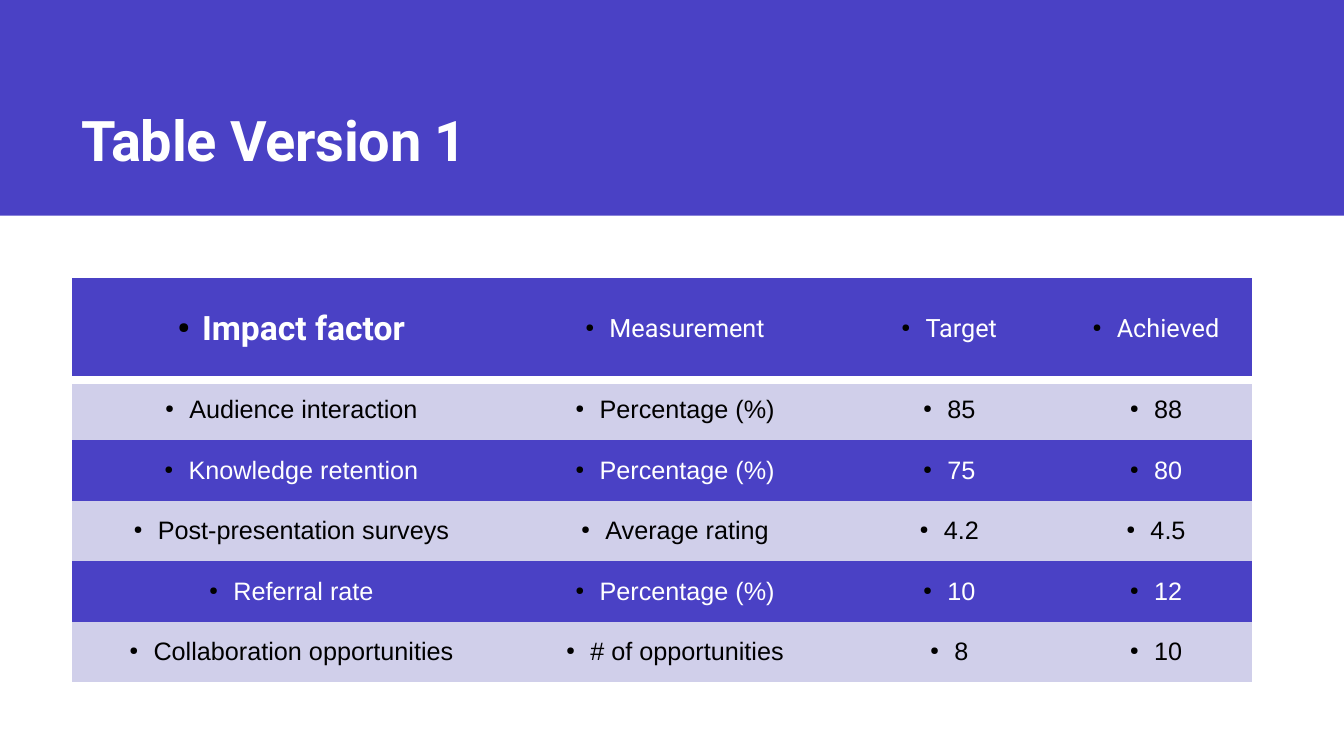
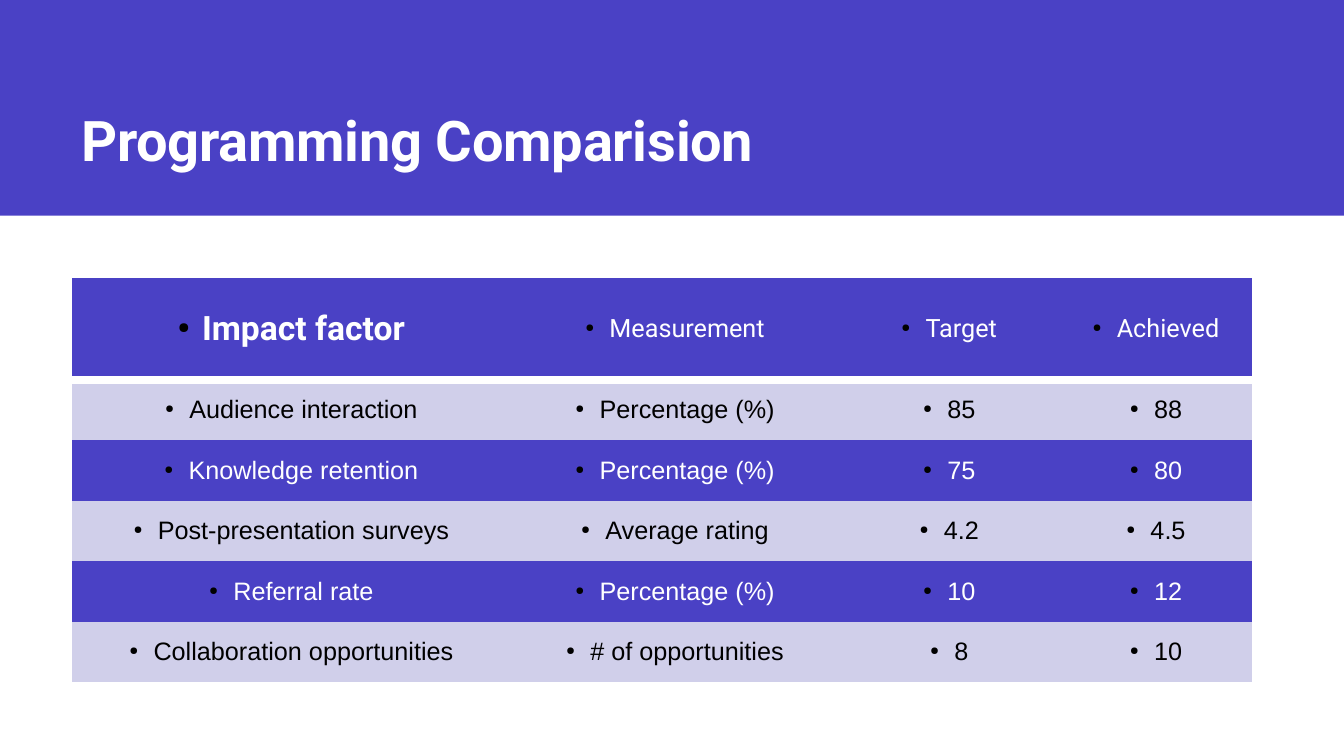
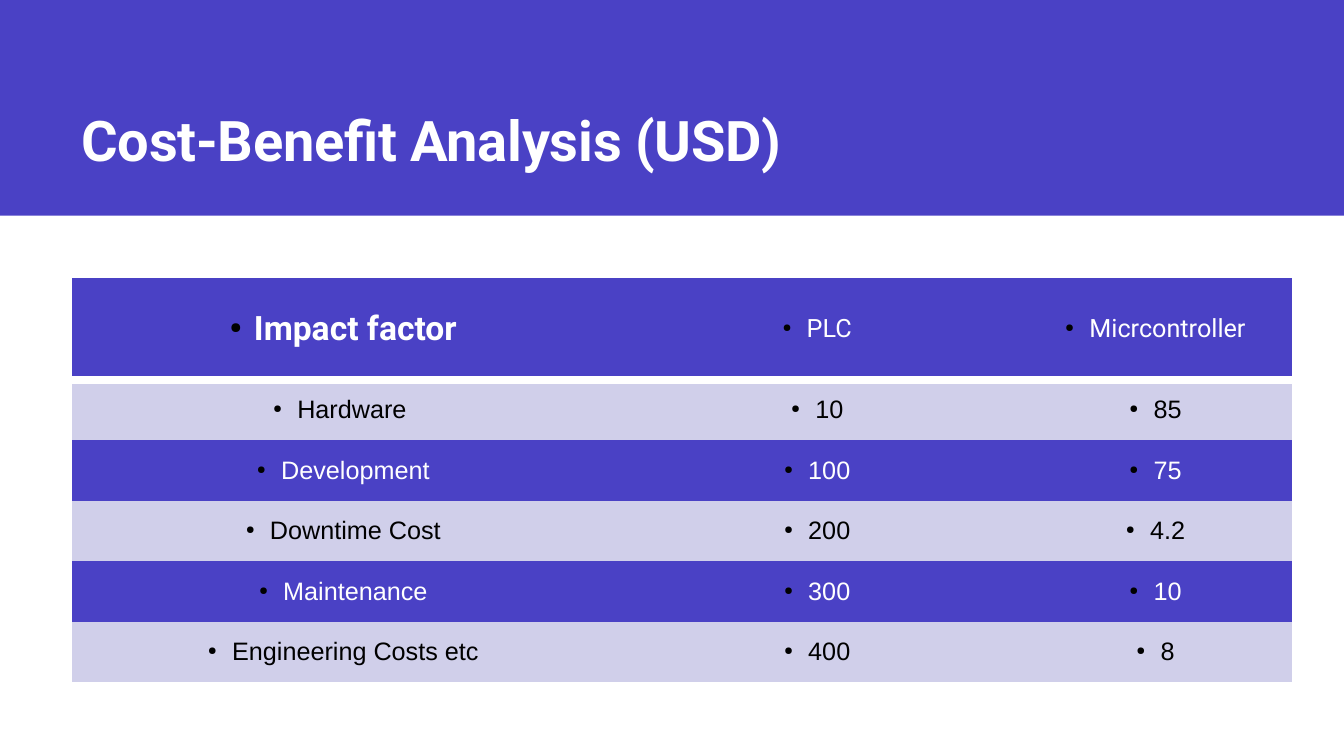
from lxml.etree import SubElement
from pptx import Presentation
from pptx.dml.color import RGBColor
from pptx.enum.shapes import MSO_SHAPE
from pptx.enum.text import MSO_ANCHOR, PP_ALIGN
from pptx.oxml import parse_xml
from pptx.oxml.ns import nsdecls, qn
from pptx.util import Inches, Pt

INDIGO = RGBColor(0x4A, 0x41, 0xC5)
LAVENDER = RGBColor(0xD0, 0xCF, 0xEA)
WHITE = RGBColor(0xFF, 0xFF, 0xFF)
BLACK = RGBColor(0x00, 0x00, 0x00)

HEADING_FONT = "Roboto"
BODY_FONT = "Arial"
PLAIN_TABLE_STYLE = "{2D5ABB26-0587-4C30-8999-92F81FD0307C}"

PAGE_WIDTH, PAGE_HEIGHT = 13.33, 7.5
BAND_HEIGHT = 2.14
TITLE_BOX = (0.71, 0.4, 11.79, 1.36)
TABLE_LEFT, TABLE_TOP = 0.71, 2.76
HEADER_HEIGHT, ROW_HEIGHT = 1.01, 0.6
BULLET_INDENT = 0.24

IMPACT_COLUMNS = [4.36, 3.25, 2.19, 1.91]
IMPACT_ROWS = [
    ["Impact factor", "Measurement", "Target", "Achieved"],
    ["Audience interaction", "Percentage (%)", "85", "88"],
    ["Knowledge retention", "Percentage (%)", "75", "80"],
    ["Post-presentation surveys", "Average rating", "4.2", "4.5"],
    ["Referral rate", "Percentage (%)", "10", "12"],
    ["Collaboration opportunities", "# of opportunities", "8", "10"],
]
COST_COLUMNS = [5.39, 4.01, 2.7]
COST_ROWS = [
    ["Impact factor", "PLC", "Micrcontroller"],
    ["Hardware ", "10", "85"],
    ["Development", "100", "75"],
    ["Downtime Cost", "200", "4.2"],
    ["Maintenance", "300", "10"],
    ["Engineering Costs etc", "400", "8"],
]
SLIDES = [
    ("Table Version 1", IMPACT_COLUMNS, IMPACT_ROWS),
    ("Programming Comparision", IMPACT_COLUMNS, IMPACT_ROWS),
    ("Cost-Benefit Analysis (USD)", COST_COLUMNS, COST_ROWS),
]


def add_bullet(para):
    """Give a paragraph a small black dot on a hanging indent."""
    properties = para._p.get_or_add_pPr()
    properties.set("marL", str(Inches(BULLET_INDENT)))
    properties.set("indent", str(-Inches(BULLET_INDENT)))
    color = SubElement(properties, qn("a:buClr"))
    SubElement(color, qn("a:srgbClr"), val=str(BLACK))
    SubElement(properties, qn("a:buSzPct"), val="45000")
    SubElement(properties, qn("a:buChar"), char="●")


def write(frame, text, size=18, font=BODY_FONT, color=BLACK, bold=False,
          align=PP_ALIGN.LEFT, bullet=False, spacing=None):
    """Fill the first paragraph of a text frame."""
    para = frame.paragraphs[0]
    para.alignment = align
    if bullet:
        add_bullet(para)
    span = para.add_run()
    span.text = text
    span.font.size = Pt(size)
    span.font.name = font
    span.font.bold = bold
    span.font.color.rgb = color
    if spacing is not None:
        span._r.get_or_add_rPr().set("spc", str(round(spacing * 100)))


def add_title_band(page, title):
    # Full-width band
    band = page.shapes.add_shape(MSO_SHAPE.RECTANGLE, 0, 0,
                                 Inches(PAGE_WIDTH), Inches(BAND_HEIGHT))
    band.shadow.inherit = False
    band.fill.solid()
    band.fill.fore_color.rgb = INDIGO
    band.line.fill.background()

    # Title, resting on the bottom of its box
    box = page.shapes.add_textbox(*map(Inches, TITLE_BOX))
    frame = box.text_frame
    frame.word_wrap = True
    frame.vertical_anchor = MSO_ANCHOR.BOTTOM
    write(frame, title, size=40, font=HEADING_FONT, color=WHITE, bold=True, spacing=-0.2)


def add_bottom_border(cell, color, width):
    border = parse_xml(
        f'<a:lnB {nsdecls("a")} w="{Pt(width)}"><a:solidFill>'
        f'<a:srgbClr val="{color}"/></a:solidFill></a:lnB>')
    cell._tc.get_or_add_tcPr().insert(0, border)


def cell_format(row, column):
    """Text format by position: heading row, then alternating rows."""
    if row == 0:
        lead = column == 0
        return dict(size=24 if lead else 18, font=HEADING_FONT, color=WHITE, bold=lead)
    return dict(color=BLACK if row % 2 else WHITE)


def add_striped_table(page, left, top, widths, rows):
    height = HEADER_HEIGHT + ROW_HEIGHT * (len(rows) - 1)
    table = page.shapes.add_table(len(rows), len(widths), Inches(left), Inches(top),
                                  Inches(sum(widths)), Inches(height)).table
    table.first_row = table.horz_banding = False
    table._tbl.tblPr.find(qn("a:tableStyleId")).text = PLAIN_TABLE_STYLE

    for column, width in zip(table.columns, widths):
        column.width = Inches(width)
    for index, values in enumerate(rows):
        table.rows[index].height = Inches(ROW_HEIGHT if index else HEADER_HEIGHT)
        for column, value in enumerate(values):
            cell = table.cell(index, column)
            cell.vertical_anchor = MSO_ANCHOR.MIDDLE
            cell.fill.solid()
            cell.fill.fore_color.rgb = LAVENDER if index % 2 else INDIGO
            write(cell.text_frame, value, align=PP_ALIGN.CENTER, bullet=True,
                  **cell_format(index, column))
            if index == 0:
                add_bottom_border(cell, WHITE, 6)


def main():
    deck = Presentation()
    deck.slide_width, deck.slide_height = Inches(PAGE_WIDTH), Inches(PAGE_HEIGHT)
    for title, widths, rows in SLIDES:
        page = deck.slides.add_slide(deck.slide_layouts[6])
        add_title_band(page, title)
        add_striped_table(page, TABLE_LEFT, TABLE_TOP, widths, rows)
    deck.save("out.pptx")


if __name__ == "__main__":
    main()
